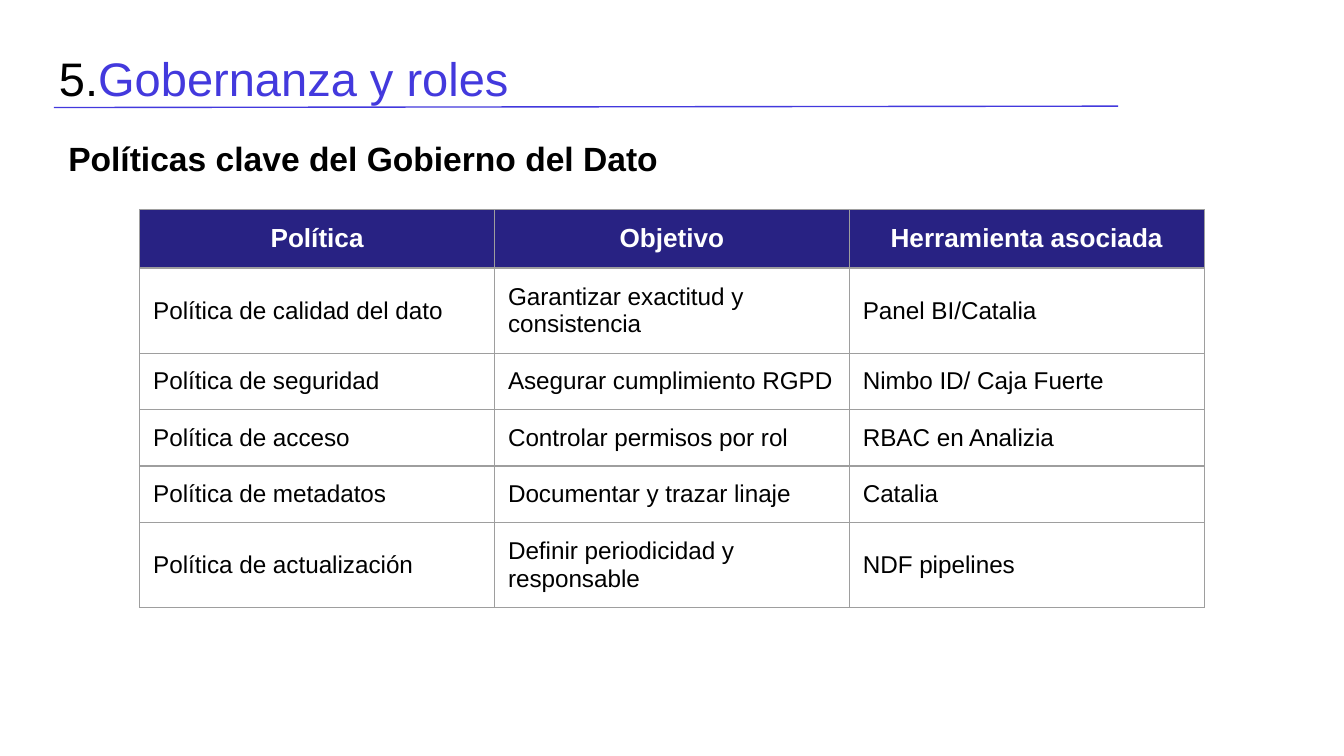
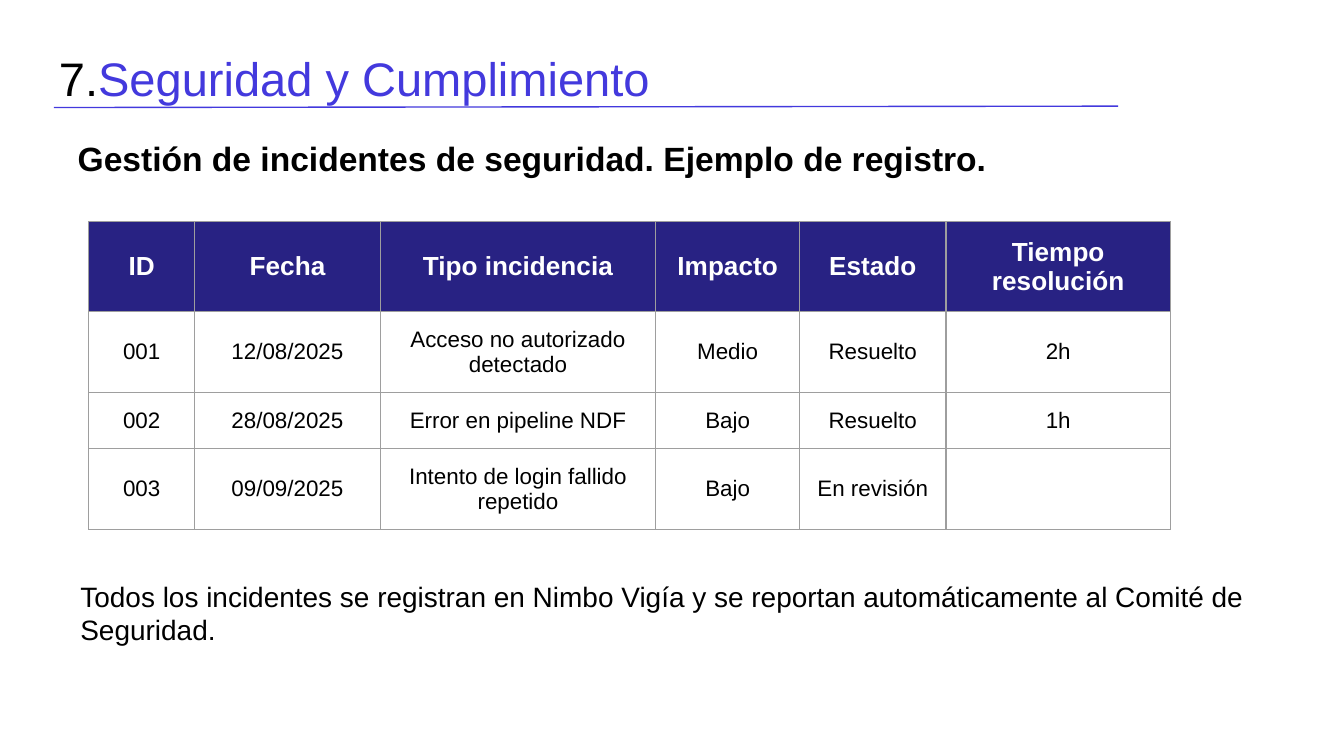
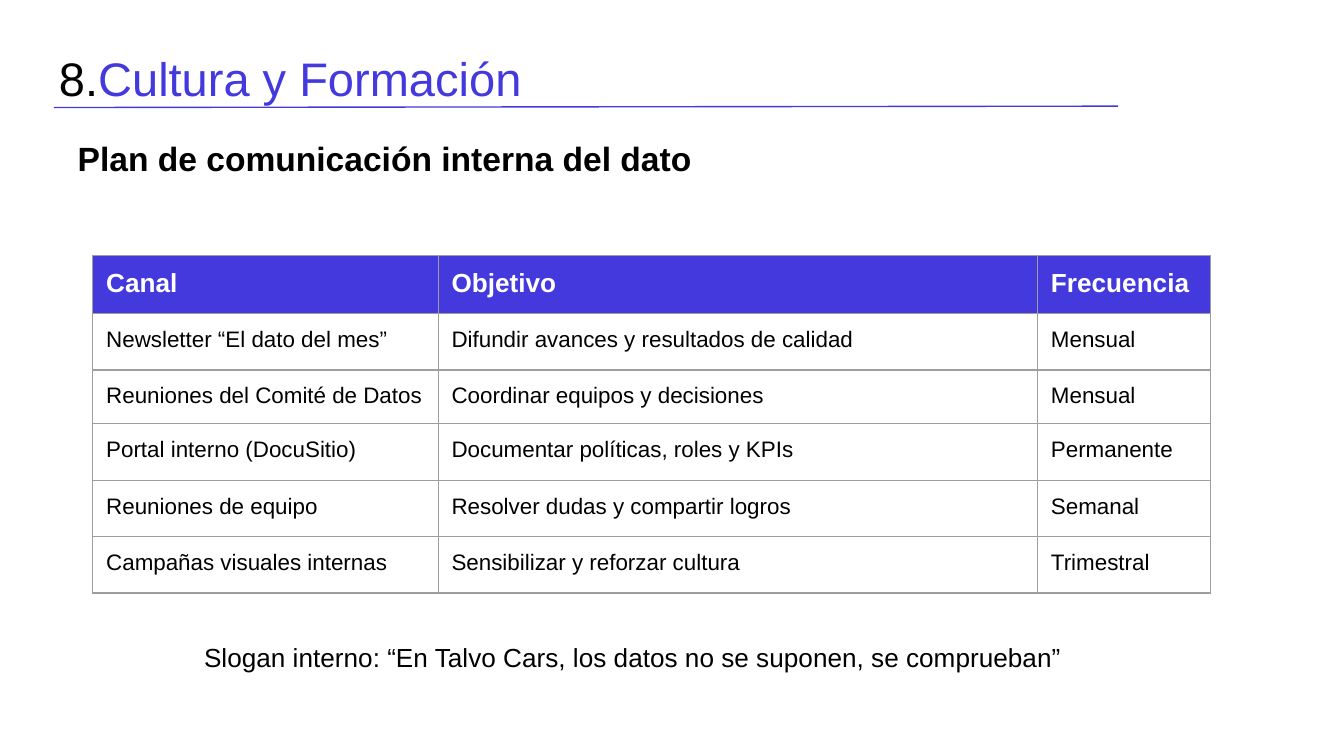
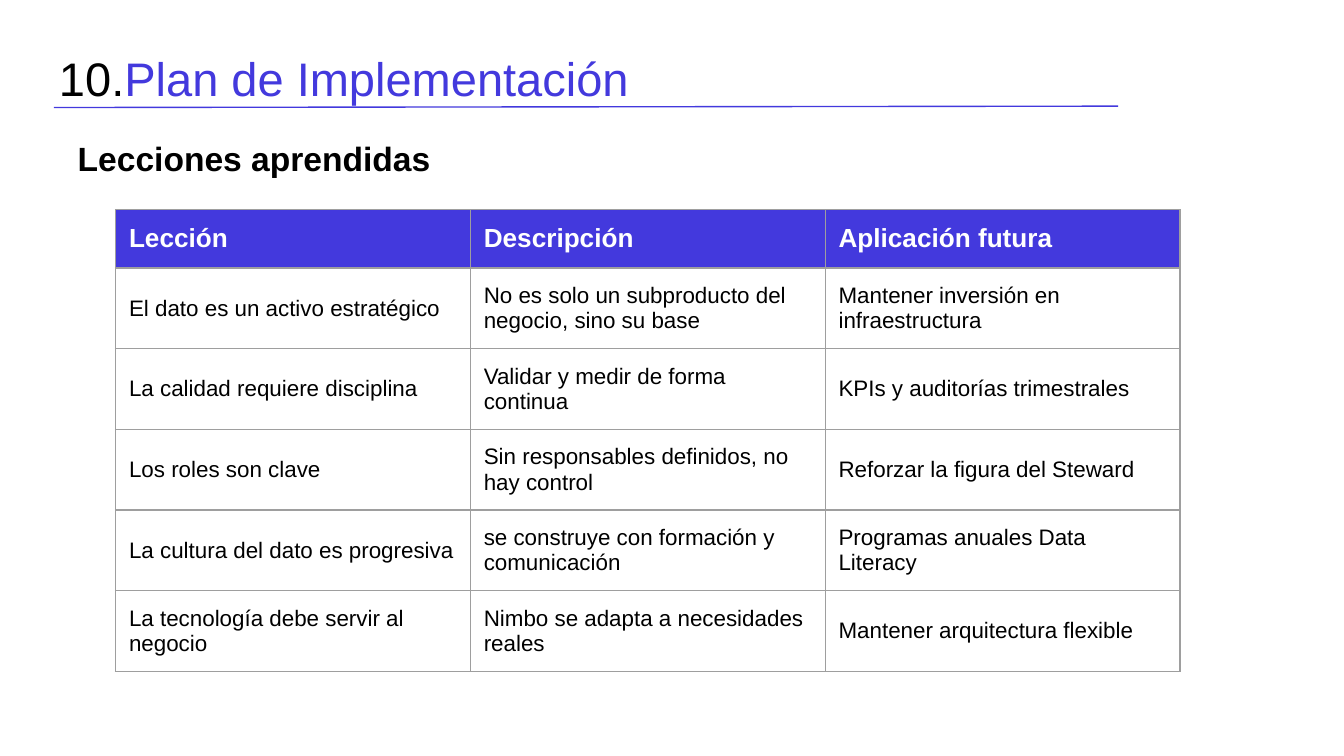
import pptx
import pptx.dml.color
import pptx.enum.shapes
import pptx.enum.text
import pptx.oxml
import pptx.oxml.ns
import pptx.util

INK, WHITE, BLUE, NAVY, GRAY = "000000", "FFFFFF", "4339DD", "282283", "9E9E9E"
FONT = "Arial"
WIDTH = pptx.util.Inches(10)
HEIGHT = WIDTH * 9 // 16
COLS = 100
PAD = 1
LEFT = pptx.enum.text.PP_ALIGN.LEFT
MID = pptx.enum.text.PP_ALIGN.CENTER
TOP = pptx.enum.text.MSO_ANCHOR.TOP
CENTER = pptx.enum.text.MSO_ANCHOR.MIDDLE


def grid(*cells):
    """Turn counts of square grid cells, 100 to the slide's width, into lengths."""
    return [round(WIDTH * cell / COLS) for cell in cells]


def color(code):
    return pptx.dml.color.RGBColor.from_string(code)


def write(para, text, size=14, ink=INK, bold=False, align=LEFT, lead=None,
          indent=0):
    """Add one run of text to a paragraph."""
    para.alignment = align
    if lead:
        para.line_spacing = lead
    if indent:
        para._p.get_or_add_pPr().set("marL", str(*grid(indent)))
    run = para.add_run()
    run.text = text
    run.font.name = FONT
    run.font.size = pptx.util.Pt(size)
    run.font.bold = bold
    run.font.color.rgb = color(ink)


def make_box(slide, place, anchor=TOP):
    """Add an empty text box and return its first paragraph."""
    frame = slide.shapes.add_textbox(*grid(*place)).text_frame
    frame.word_wrap = True
    frame.vertical_anchor = anchor
    pad, = grid(PAD)
    frame.margin_left = frame.margin_right = pad
    frame.margin_top = frame.margin_bottom = pad
    return frame.paragraphs[0]


def add_head(slide, number, title, subtitle, left=4.8, width=74.2):
    rule = slide.shapes.add_connector(
        pptx.enum.shapes.MSO_CONNECTOR.STRAIGHT, *grid(4, 8, 83.2, 7.9))
    rule.line.color.rgb = color(BLUE)
    rule.line.width = pptx.util.Pt(0.75)
    props = rule._element.spPr
    props.append(pptx.oxml.parse_xml(
        f'<a:effectLst {pptx.oxml.ns.nsdecls("a")}/>'))
    para = make_box(slide, (3.4, 2.6, 93.2, 6.3), CENTER)
    write(para, number, size=25.2)
    write(para, title, size=25.2, ink=BLUE)
    para = make_box(slide, (left, 8.8, width, 5))
    write(para, subtitle, size=18, bold=True, lead=1.15)


def add_edges(cell):
    props = cell._tc.get_or_add_tcPr()
    for side in "LRTB":
        props.append(pptx.oxml.parse_xml(
            f'<a:ln{side} {pptx.oxml.ns.nsdecls("a")} w="9525"><a:solidFill>'
            f'<a:srgbClr val="{GRAY}"/></a:solidFill></a:ln{side}>'))


def add_grid(slide, left, top, widths, rows, fill, heights=None, size=12,
             head=LEFT, body=LEFT, anchor=CENTER):
    """Add a table whose first row is the header."""
    heights = heights or [4.2] * len(rows)
    place = grid(left, top, sum(widths), sum(heights))
    table = slide.shapes.add_table(len(rows), len(widths), *place).table
    table.first_row = table.horz_banding = False
    for column, width in zip(table.columns, grid(*widths)):
        column.width = width
    for line, height in zip(table.rows, grid(*heights)):
        line.height = height
    pad, = grid(PAD)
    for r, row in enumerate(rows):
        for c, text in enumerate(row):
            cell = table.cell(r, c)
            cell.margin_left = cell.margin_right = pad
            cell.margin_top = cell.margin_bottom = pad
            cell.vertical_anchor = anchor
            add_edges(cell)
            para = cell.text_frame.paragraphs[0]
            if r == 0:
                cell.fill.solid()
                cell.fill.fore_color.rgb = color(fill)
                write(para, text, ink=WHITE, bold=True, align=head)
            else:
                cell.fill.background()
                if text:
                    write(para, text, size=size, align=body)


def show_rules(slide):
    add_head(slide, "5.", "Gobernanza y roles",
             "Políticas clave del Gobierno del Dato", left=4.1, width=66.4)
    rows = [
        ("Política", "Objetivo", "Herramienta asociada"),
        ("Política de calidad del dato", "Garantizar exactitud y consistencia",
         "Panel BI/Catalia"),
        ("Política de seguridad", "Asegurar cumplimiento RGPD",
         "Nimbo ID/ Caja Fuerte"),
        ("Política de acceso", "Controlar permisos por rol",
         "RBAC en Analizia"),
        ("Política de metadatos", "Documentar y trazar linaje", "Catalia"),
        ("Política de actualización", "Definir periodicidad y responsable",
         "NDF pipelines"),
    ]
    add_grid(slide, 10.4, 15.6, [26.4] * 3, rows, NAVY, size=13, head=MID)


def show_log(slide):
    add_head(slide, "7.", "Seguridad y Cumplimiento",
             "Gestión de incidentes de seguridad. Ejemplo de registro.")
    para = make_box(slide, (0, 42.1, 96.7, 7.1))
    write(para, "Todos los incidentes se registran en Nimbo Vigía y se "
          "reportan automáticamente al Comité de Seguridad.", size=15,
          indent=5)
    rows = [
        ("ID", "Fecha", "Tipo incidencia", "Impacto", "Estado",
         "Tiempo resolución"),
        ("001", "12/08/2025", "Acceso no autorizado detectado", "Medio",
         "Resuelto", "2h"),
        ("002", "28/08/2025", "Error en pipeline NDF", "Bajo", "Resuelto",
         "1h"),
        ("003", "09/09/2025", "Intento de login fallido repetido", "Bajo",
         "En revisión", ""),
    ]
    add_grid(slide, 6.6, 16.5, [7.9, 13.8, 20.5, 10.7, 10.9, 16.7], rows,
             NAVY, head=MID, body=MID)


def show_news(slide):
    add_head(slide, "8.", "Cultura y Formación",
             "Plan de comunicación interna del dato")
    rows = [
        ("Canal", "Objetivo", "Frecuencia"),
        ("Newsletter “El dato del mes”",
         "Difundir avances y resultados de calidad", "Mensual"),
        ("Reuniones del Comité de Datos", "Coordinar equipos y decisiones",
         "Mensual"),
        ("Portal interno (DocuSitio)", "Documentar políticas, roles y KPIs",
         "Permanente"),
        ("Reuniones de equipo", "Resolver dudas y compartir logros",
         "Semanal"),
        ("Campañas visuales internas", "Sensibilizar y reforzar cultura",
         "Trimestral"),
    ]
    add_grid(slide, 6.9, 19, [25.7, 44.6, 12.9], rows, BLUE,
             heights=[4.2, 4.2, 3.9, 4.2, 4.2, 4.2], anchor=TOP)
    para = make_box(slide, (14.2, 46.7, 82.4, 4.4))
    write(para, "Slogan interno: “En Talvo Cars, los datos no se suponen, "
          "se comprueban”")


def show_lessons(slide):
    add_head(slide, "10.", "Plan de Implementación", "Lecciones aprendidas")
    rows = [
        ("Lección", "Descripción", "Aplicación futura"),
        ("El dato es un activo estratégico",
         "No es solo un subproducto del negocio, sino su base",
         "Mantener inversión en infraestructura"),
        ("La calidad requiere disciplina", "Validar y medir de forma continua",
         "KPIs y auditorías trimestrales"),
        ("Los roles son clave", "Sin responsables definidos, no hay control",
         "Reforzar la figura del Steward"),
        ("La cultura del dato es progresiva",
         "se construye con formación y comunicación",
         "Programas anuales Data Literacy"),
        ("La tecnología debe servir al negocio",
         "Nimbo se adapta a necesidades reales",
         "Mantener arquitectura flexible"),
    ]
    add_grid(slide, 8.6, 15.6, [26.4] * 3, rows, BLUE)


def main():
    deck = pptx.Presentation()
    deck.slide_width, deck.slide_height = WIDTH, HEIGHT
    for show in (show_rules, show_log, show_news, show_lessons):
        show(deck.slides.add_slide(deck.slide_layouts[6]))
    deck.save("out.pptx")


if __name__ == "__main__":
    main()
